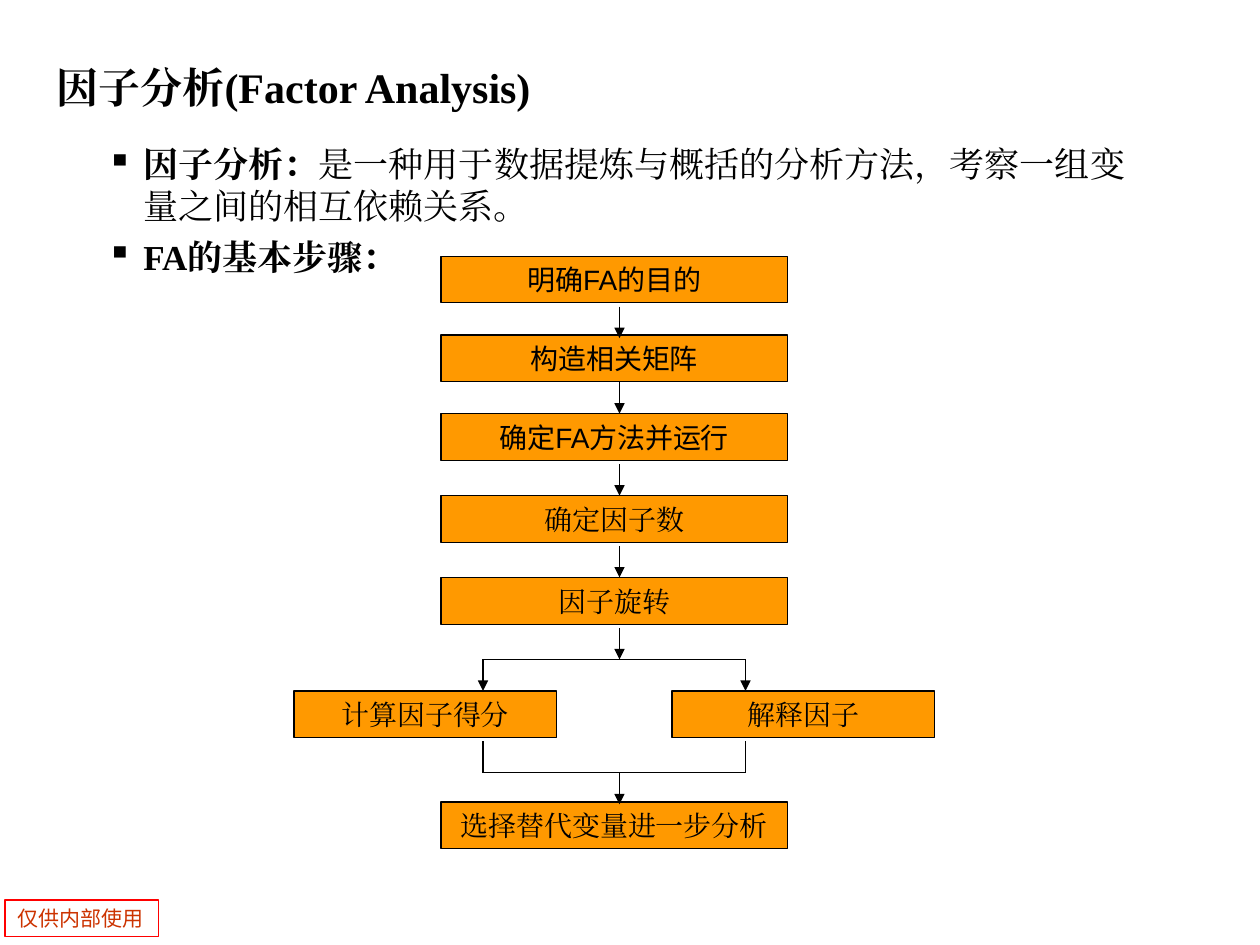
from typing import NamedTuple, Optional

from lxml.etree import SubElement
from pptx import Presentation
from pptx.dml.color import RGBColor
from pptx.enum.shapes import MSO_CONNECTOR, MSO_SHAPE
from pptx.enum.text import MSO_ANCHOR, PP_ALIGN
from pptx.oxml.ns import qn
from pptx.util import Inches, Pt

BLACK = RGBColor(0x00, 0x00, 0x00)
ORANGE = RGBColor(0xFF, 0x99, 0x00)
RED = RGBColor(0xFF, 0x00, 0x00)
RUST = RGBColor(0xCC, 0x33, 0x00)
SERIF, SANS, CHINESE = "Times New Roman", "Arial", "Noto Sans CJK SC"

# The slide is a grid of 120 columns by 90 rows
CELL = Inches(1) / 12
BOX_HEIGHT = 4.45
ARROW_LENGTH = 3
LEFT_BRANCH, CENTRE, RIGHT_BRANCH = 46, 59, 71
SPLIT_ROW, JOIN_ROW = 62.8, 73.6


class Area(NamedTuple):
    column: float
    row: float
    columns: float
    rows: float


class Step(NamedTuple):
    text: str
    row: float
    column: float = 42
    columns: float = 33
    font: str = SERIF


class Line(NamedTuple):
    start: tuple
    end: tuple
    arrow: bool = False


STEPS = [
    Step("明确FA的目的", 24.4, font=SANS),
    Step("构造相关矩阵", 31.9, font=SANS),
    Step("确定FA方法并运行", 39.4, font=SANS),
    Step("确定因子数", 47.2),
    Step("因子旋转", 55),
    Step("计算因子得分", 65.8, column=28, columns=25),
    Step("解释因子", 65.8, column=64, columns=25),
    Step("选择替代变量进一步分析", 76.4),
]


def down_arrow(column: float, row: float) -> Line:
    return Line((column, row), (column, row + ARROW_LENGTH), True)


BRANCHES = (LEFT_BRANCH, RIGHT_BRANCH)
LINES = [
    *(down_arrow(CENTRE, row) for row in (29.2, 36.4, 44.2, 52, 59.8, JOIN_ROW)),
    *(down_arrow(column, SPLIT_ROW) for column in BRANCHES),
    *(Line((column, JOIN_ROW - 3), (column, JOIN_ROW)) for column in BRANCHES),
    *(Line((LEFT_BRANCH, row), (RIGHT_BRANCH, row)) for row in (SPLIT_ROW, JOIN_ROW)),
]


def grid(*cells: float) -> list:
    return [round(cell * CELL) for cell in cells]


def add_run(paragraph, text: str, name: str, size: float,
            color: RGBColor = BLACK, bold: bool = False) -> None:
    run = paragraph.add_run()
    run.text = text
    run.font.color.rgb = color
    formats = {"name": name, "size": Pt(size), "bold": bold}
    for attribute, value in formats.items():
        setattr(run.font, attribute, value)
    SubElement(run.font._element, qn("a:ea"), typeface=name)


def add_text_box(slide, area: Area, anchor: MSO_ANCHOR):
    frame = slide.shapes.add_textbox(*grid(*area)).text_frame
    frame.word_wrap = True
    frame.vertical_anchor = anchor
    return frame


def add_box(slide, area: Area, line_color: RGBColor, line_width: float,
            fill: Optional[RGBColor] = None, align: PP_ALIGN = PP_ALIGN.CENTER):
    shape = slide.shapes.add_shape(MSO_SHAPE.RECTANGLE, *grid(*area))
    shape.shadow.inherit = False
    if fill is None:
        shape.fill.background()
    else:
        shape.fill.solid()
        shape.fill.fore_color.rgb = fill
    shape.line.color.rgb = line_color
    shape.line.width = Pt(line_width)
    shape.text_frame.vertical_anchor = MSO_ANCHOR.MIDDLE
    paragraph = shape.text_frame.paragraphs[0]
    paragraph.alignment = align
    return paragraph


def add_line(slide, line: Line) -> None:
    connector = slide.shapes.add_connector(
        MSO_CONNECTOR.STRAIGHT, *grid(*line.start, *line.end))
    connector.line.color.rgb = BLACK
    connector.line.width = Pt(0.75)
    if line.arrow:
        SubElement(connector.line._get_or_add_ln(), qn("a:tailEnd"), type="triangle")
    SubElement(connector._element.spPr, qn("a:effectLst"))


def add_bullet(paragraph) -> None:
    properties = paragraph._p.get_or_add_pPr()
    indent = Inches(0.29)
    properties.set("marL", str(indent))
    properties.set("indent", str(-indent))
    color = SubElement(properties, qn("a:buClr"))
    SubElement(color, qn("a:srgbClr"), val=str(BLACK))
    SubElement(properties, qn("a:buChar"), char="▪")


def main() -> None:
    presentation = Presentation()
    presentation.slide_width, presentation.slide_height = grid(120, 90)
    slide = presentation.slides.add_slide(presentation.slide_layouts[6])

    # Internal-use stamp
    stamp = add_box(slide, Area(0.5, 85.7, 14.6, 3.5), RED, 1, align=PP_ALIGN.LEFT)
    add_run(stamp, "仅供内部使用", CHINESE, 12, RUST)

    # Title
    title = add_text_box(slide, Area(4.2, 2.8, 113.4, 11), MSO_ANCHOR.MIDDLE)
    add_run(title.paragraphs[0], "因子分析(Factor Analysis)", SERIF, 24, bold=True)

    # Definition and heading of the steps
    body = add_text_box(slide, Area(9, 13, 102, 15), MSO_ANCHOR.TOP)
    definition, heading = body.paragraphs[0], body.add_paragraph()
    heading.space_before = Pt(5)
    for paragraph in (definition, heading):
        add_bullet(paragraph)
    add_run(definition, "因子分析：", SERIF, 20, bold=True)
    add_run(definition, "是一种用于数据提炼与概括的分析方法，考察一组变量之间的相互依赖关系。", SERIF, 20)
    add_run(heading, "FA的基本步骤：", SERIF, 20, bold=True)

    # Flow chart
    for step in STEPS:
        area = Area(step.column, step.row, step.columns, BOX_HEIGHT)
        add_run(add_box(slide, area, BLACK, 0.75, ORANGE), step.text, step.font, 16)
    for line in LINES:
        add_line(slide, line)

    presentation.save("out.pptx")


if __name__ == "__main__":
    main()
